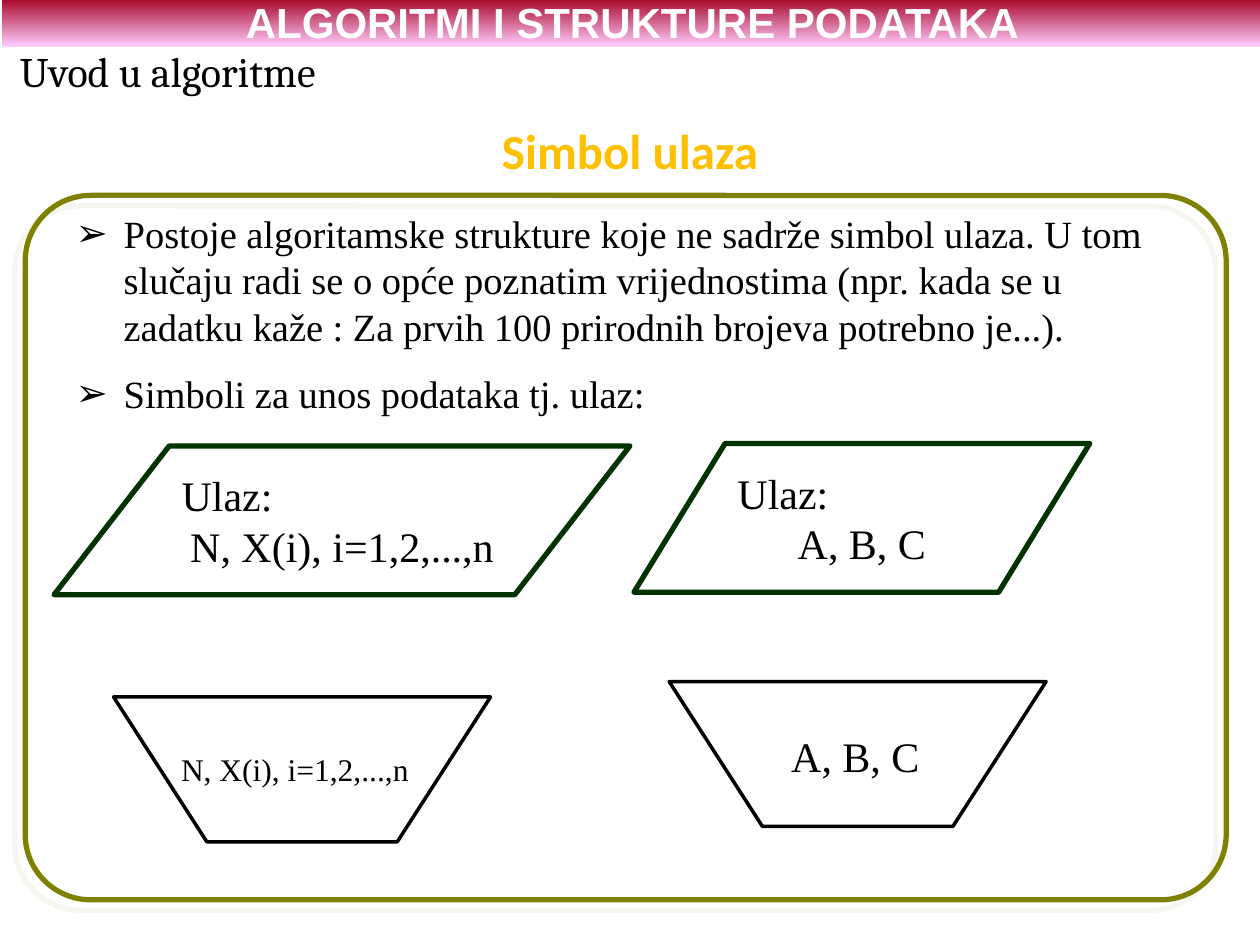
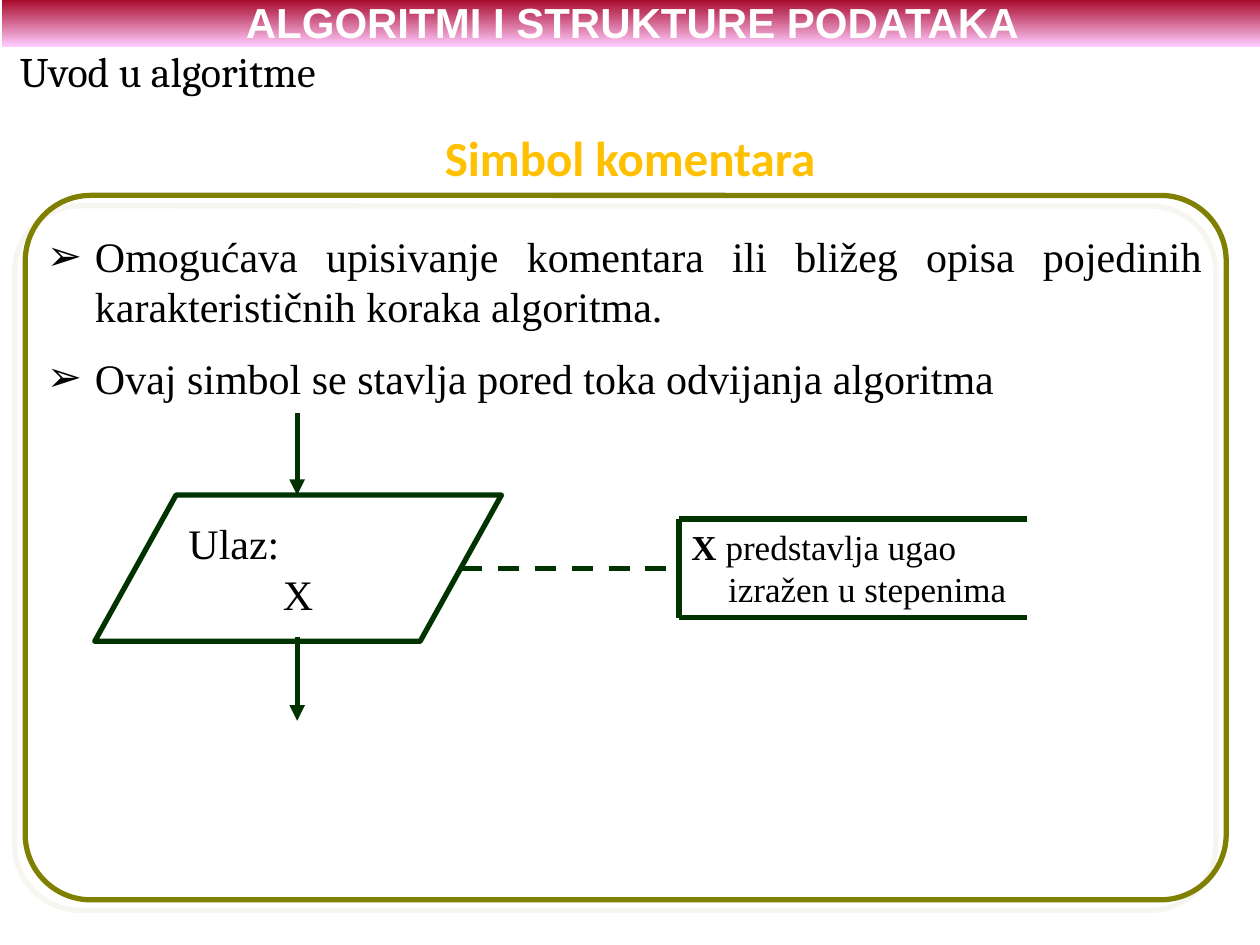
from dataclasses import dataclass

from pptx import Presentation
from pptx.dml.color import RGBColor
from pptx.enum.dml import MSO_LINE
from pptx.enum.shapes import MSO_CONNECTOR, MSO_SHAPE
from pptx.enum.text import MSO_ANCHOR, MSO_AUTO_SIZE, PP_ALIGN
from pptx.oxml import parse_xml
from pptx.oxml.ns import nsdecls, qn
from pptx.oxml.xmlchemy import OxmlElement
from pptx.util import Cm, Pt

COLORS = {
    "black": "000000", "white": "FFFFFF", "title": "FFC000", "frame": "808000",
    "frame_shadow": "EEECE1", "symbol": "003300", "band_top": "A50021",
    "band_bottom": "FFCCFF",
}
BAND = {"name": "Arial", "size": Pt(24), "bold": True, "color": "white"}
TITLE = {"name": "Calibri", "size": Pt(28), "bold": True, "color": "title"}
CHAPTER = {"name": "Cambria", "size": Pt(24), "bold": False, "color": "black"}
TEXT = {"name": "Times New Roman", "size": Pt(24), "bold": False, "color": "black"}


@dataclass(frozen=True)
class Box:
    """A rectangle in centimetres."""
    left: float
    top: float
    width: float
    height: float

    def lengths(self) -> tuple:
        return Cm(self.left), Cm(self.top), Cm(self.width), Cm(self.height)


@dataclass(frozen=True)
class Page:
    title: str
    title_box: Box
    bullets: tuple
    body_box: Box
    body_size: int
    align: PP_ALIGN


@dataclass(frozen=True)
class InputSymbol:
    box: Box
    value: str


@dataclass(frozen=True)
class ManualInput:
    box: Box
    label: str
    label_box: Box
    size: int
    wrap: bool


@dataclass(frozen=True)
class Segment:
    x1: float
    y1: float
    x2: float
    y2: float
    dashed: bool = False
    arrow: bool = False


INPUT_PAGE = Page(
    "Simbol ulaza", Box(1.27, 2.03, 22.86, 1.98),
    ("Postoje algoritamske strukture koje ne sadrže simbol ulaza. U tom slučaju "
     "radi se o opće poznatim vrijednostima (npr. kada se u zadatku kaže : "
     "Za prvih 100 prirodnih brojeva potrebno je...).",
     "Simboli za unos podataka tj. ulaz:"),
    Box(1.27, 4.11, 22.86, 4.42), 22, PP_ALIGN.LEFT)
COMMENT_PAGE = Page(
    "Simbol komentara", Box(1.27, 2.39, 22.86, 1.55),
    ("Omogućava upisivanje komentara ili bližeg opisa pojedinih "
     "karakterističnih koraka algoritma.",
     "Ovaj simbol se stavlja pored toka odvijanja algoritma"),
    Box(0.69, 4.52, 23.8, 3.73), 24, PP_ALIGN.JUSTIFY)

INPUT_SYMBOLS = (
    InputSymbol(Box(1.09, 8.99, 11.61, 3), "N, X(i), i=1,2,...,n"),
    InputSymbol(Box(12.78, 8.94, 9.19, 3), "A, B, C"),
)
MANUAL_INPUTS = (
    ManualInput(Box(2.29, 14.05, 7.6, 2.92), "N, X(i), i=1,2,...,n",
                Box(3.4, 14.99, 5.69, 1.02), 18, True),
    ManualInput(Box(13.49, 13.74, 7.6, 2.92), "A, B, C",
                Box(15.7, 14.6, 3.1, 1.27), 24, False),
)
TRAPEZOID_INSET = 1.88

COMMENT = Box(13.69, 10.46, 7.01, 1.99)
COMMENT_RIGHT = COMMENT.left + COMMENT.width
COMMENT_BOTTOM = COMMENT.top + COMMENT.height
COMMENT_MIDDLE = COMMENT.top + COMMENT.height / 2
FLOW_X = 5.99
SEGMENTS = (
    Segment(COMMENT.left, COMMENT.top, COMMENT.left, COMMENT_BOTTOM),
    Segment(COMMENT.left, COMMENT_BOTTOM, COMMENT_RIGHT, COMMENT_BOTTOM),
    Segment(COMMENT.left, COMMENT.top, COMMENT_RIGHT, COMMENT.top),
    Segment(9.3, COMMENT_MIDDLE, COMMENT.left, COMMENT_MIDDLE, dashed=True),
    Segment(FLOW_X, 8.33, FLOW_X, 9.98, arrow=True),
    Segment(FLOW_X, 12.85, FLOW_X, 14.53, arrow=True),
)


def rgb(name: str) -> RGBColor:
    return RGBColor.from_string(COLORS[name])


def add_run(p, text: str, style: dict, **changes) -> None:
    r = p.add_run()
    r.text = text
    for key, value in {**style, **changes}.items():
        if key == "color":
            r.font.color.rgb = rgb(value)
        else:
            setattr(r.font, key, value)


def hang(p, left: float) -> None:
    """Give a paragraph a hanging indent in centimetres."""
    pPr = p._p.get_or_add_pPr()
    pPr.set("marL", str(Cm(left)))
    pPr.set("indent", str(-Cm(left)))


def add_bullet(p) -> None:
    hang(p, 0.97)
    pPr = p._p.get_or_add_pPr()
    pPr.append(parse_xml(f'<a:buClr {nsdecls("a")}>'
                         f'<a:srgbClr val="{COLORS["black"]}"/></a:buClr>'))
    pPr.append(parse_xml(f'<a:buChar {nsdecls("a")} char="➢"/>'))


def place(sp, box: Box) -> None:
    for name, value in zip(("left", "top", "width", "height"), box.lengths()):
        setattr(sp, name, value)


def add_text(s, box: Box, wrap: bool = True):
    """Add a text box and return its first paragraph."""
    tf = s.shapes.add_textbox(*box.lengths()).text_frame
    tf.word_wrap = wrap
    return tf.paragraphs[0]


def outline(sp, color: str, width: float) -> None:
    sp.shadow.inherit = False
    sp.fill.background()
    sp.line.color.rgb = rgb(color)
    sp.line.width = Pt(width)


def add_frame(s) -> None:
    sp = s.shapes.add_shape(MSO_SHAPE.ROUNDED_RECTANGLE,
                            *Box(0.51, 3.94, 24.21, 14.2).lengths())
    sp.adjustments[0] = 0.093
    outline(sp, "frame", 3)
    sp._element.spPr.find(qn("a:effectLst")).append(parse_xml(
        f'<a:outerShdw {nsdecls("a")} dist="{Pt(8.5)}" dir="8100000" '
        f'algn="ctr" rotWithShape="0"><a:srgbClr val="{COLORS["frame_shadow"]}">'
        '<a:alpha val="50000"/></a:srgbClr></a:outerShdw>'))


def add_band(s) -> None:
    sp = s.shapes.add_shape(MSO_SHAPE.RECTANGLE,
                            *Box(0.05, -0.05, 25.4, 0.99).lengths())
    sp.shadow.inherit = False
    sp.line.fill.background()
    sp.fill.gradient()
    sp.fill.gradient_angle = 270
    stops = zip(sp.fill.gradient_stops, (0, 1), ("band_top", "band_bottom"))
    for stop, position, color in stops:
        stop.position = position
        stop.color.rgb = rgb(color)
    tf = sp.text_frame
    tf.vertical_anchor = MSO_ANCHOR.MIDDLE
    p = tf.paragraphs[0]
    p.alignment = PP_ALIGN.CENTER
    add_run(p, "ALGORITMI I STRUKTURE PODATAKA", BAND)


def add_page(prs, page: Page):
    """Add a slide with everything the slides share."""
    s = prs.slides.add_slide(prs.slide_layouts[1])
    title, body = s.shapes.title, s.placeholders[1]
    place(title, page.title_box)
    title.text_frame.vertical_anchor = MSO_ANCHOR.MIDDLE
    p = title.text_frame.paragraphs[0]
    p.alignment = PP_ALIGN.CENTER
    add_run(p, page.title, TITLE)

    place(body, page.body_box)
    tf = body.text_frame
    tf.auto_size = MSO_AUTO_SIZE.NONE
    for i, text in enumerate(page.bullets):
        p = tf.add_paragraph() if i else tf.paragraphs[0]
        add_bullet(p)
        p.alignment = page.align
        p.space_before = Pt(12 if i else 0)
        add_run(p, text, TEXT, size=Pt(page.body_size))

    add_frame(s)
    add_band(s)
    add_run(add_text(s, Box(0.15, 0.79, 6.5, 1.27), wrap=False),
            "Uvod u algoritme", CHAPTER)
    return s


def add_input_symbol(s, symbol: InputSymbol) -> None:
    sp = s.shapes.add_shape(MSO_SHAPE.FLOWCHART_DATA, *symbol.box.lengths())
    outline(sp, "symbol", 3)
    tf = sp.text_frame
    tf.vertical_anchor = MSO_ANCHOR.MIDDLE
    p = tf.paragraphs[0]
    p.alignment = PP_ALIGN.LEFT
    add_run(p, "Ulaz:", TEXT)
    p = tf.add_paragraph()
    p.alignment = PP_ALIGN.CENTER
    add_run(p, symbol.value, TEXT)


def add_manual_input(s, item: ManualInput) -> None:
    left, top, width, height = item.box.lengths()
    right, bottom, inset = left + width, top + height, Cm(TRAPEZOID_INSET)
    builder = s.shapes.build_freeform(left, top)
    builder.add_line_segments(
        [(right, top), (right - inset, bottom), (left + inset, bottom)], close=True)
    outline(builder.convert_to_shape(), "black", 2)
    add_run(add_text(s, item.label_box, item.wrap), item.label, TEXT,
            size=Pt(item.size))


def add_segment(s, seg: Segment) -> None:
    ends = (Cm(v) for v in (seg.x1, seg.y1, seg.x2, seg.y2))
    line = s.shapes.add_connector(MSO_CONNECTOR.STRAIGHT, *ends)
    line.line.color.rgb = rgb("symbol")
    line.line.width = Pt(3)
    if seg.dashed:
        line.line.dash_style = MSO_LINE.DASH
    spPr = line._element.spPr
    if seg.arrow:
        tail = OxmlElement("a:tailEnd")
        tail.set("type", "triangle")
        spPr.find(qn("a:ln")).append(tail)
    spPr.append(OxmlElement("a:effectLst"))


def main() -> None:
    prs = Presentation()
    prs.slide_width, prs.slide_height = Cm(25.4), Cm(19.05)

    s = add_page(prs, INPUT_PAGE)
    for symbol in INPUT_SYMBOLS:
        add_input_symbol(s, symbol)
    for item in MANUAL_INPUTS:
        add_manual_input(s, item)

    s = add_page(prs, COMMENT_PAGE)
    add_input_symbol(s, InputSymbol(Box(1.91, 9.98, 8.2, 2.95), "X"))
    for seg in SEGMENTS:
        add_segment(s, seg)
    p = add_text(s, Box(COMMENT.left, COMMENT.top, 7.39, 1.96))
    hang(p, 0.74)
    add_run(p, "X", TEXT, size=Pt(20), bold=True)
    add_run(p, " predstavlja ugao izražen u stepenima", TEXT, size=Pt(20))

    prs.save("out.pptx")


if __name__ == "__main__":
    main()
